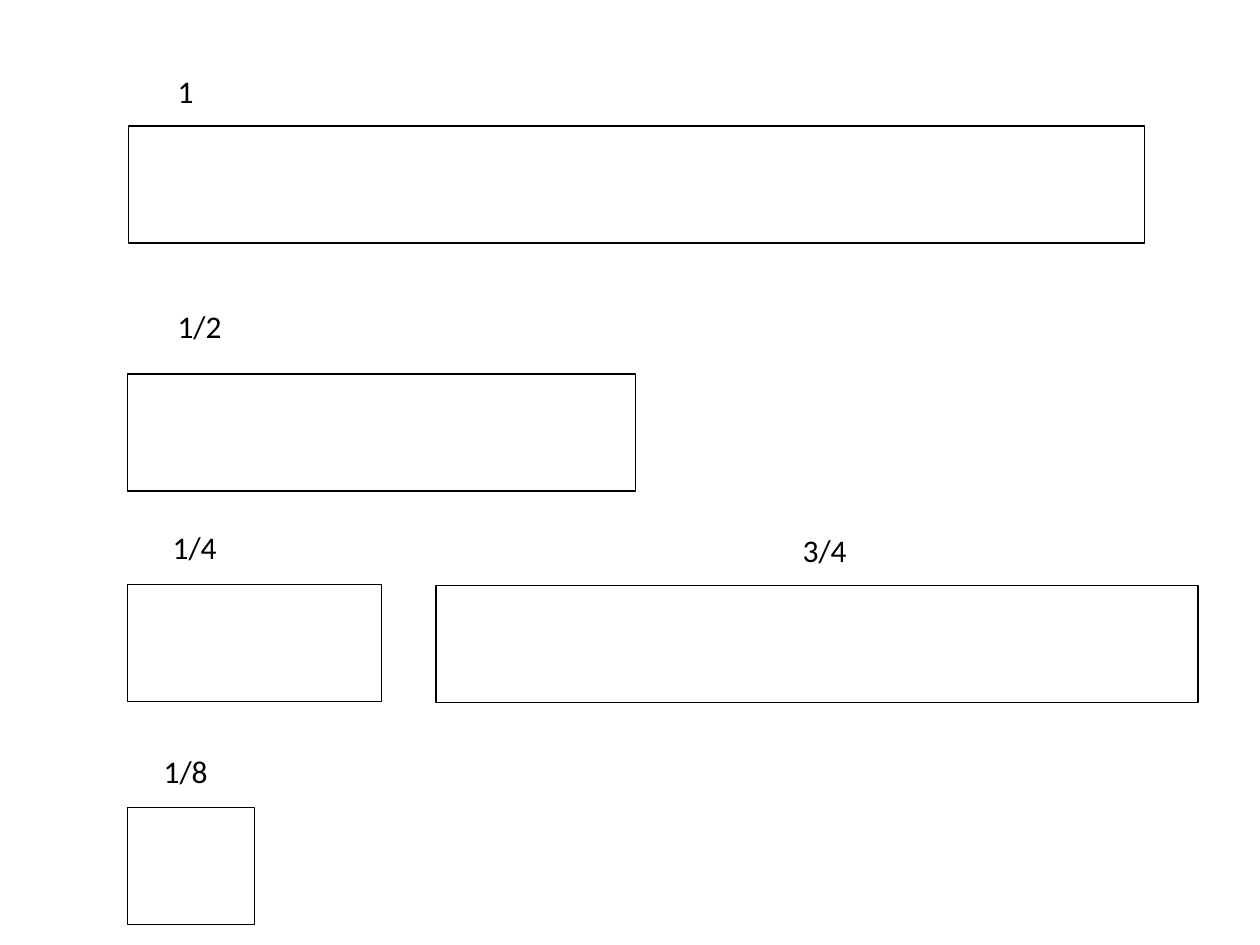
from dataclasses import dataclass

from pptx import Presentation
from pptx.dml.color import RGBColor
from pptx.enum.shapes import MSO_SHAPE
from pptx.enum.text import MSO_AUTO_SIZE
from pptx.util import Cm, Pt


@dataclass(frozen=True)
class Theme:
    """Colours, font and sizes of the slide."""

    ink: RGBColor = RGBColor(0, 0, 0)
    font: str = "Calibri"
    label_size: int = 18
    outline: float = 0.75


def write_text(para, text, *, font, size, color):
    """Add a formatted span of text to a paragraph."""
    span = para.add_run()
    span.text = text
    span.font.name = font
    span.font.size = Pt(size)
    span.font.color.rgb = color


class FractionPage:
    """Draws fraction bars and their labels on one slide."""

    whole_width = 20.48
    bar_height = 2.36
    label_height = 1.02

    def __init__(self, page, theme):
        """Keep the current slide and its style."""
        self.page = page
        self.theme = theme

    def bar(self, left, top, fraction):
        """Add an outlined bar as wide as its share of the whole."""
        box = self.page.shapes.add_shape(
            MSO_SHAPE.RECTANGLE, Cm(left), Cm(top),
            Cm(self.whole_width * fraction), Cm(self.bar_height))
        box.shadow.inherit = False
        box.fill.background()
        box.line.color.rgb = self.theme.ink
        box.line.width = Pt(self.theme.outline)

    def label(self, left, top, text):
        """Add a label that grows with its text."""
        width = 0.84 if len(text) == 1 else 1.42
        box = self.page.shapes.add_textbox(
            Cm(left), Cm(top), Cm(width), Cm(self.label_height))
        frame = box.text_frame
        frame.word_wrap = False
        frame.auto_size = MSO_AUTO_SIZE.SHAPE_TO_FIT_TEXT
        write_text(frame.paragraphs[0], text, font=self.theme.font,
                   size=self.theme.label_size, color=self.theme.ink)


def main():
    """Build the fraction bars slide and save it."""
    deck = Presentation()
    deck.slide_width, deck.slide_height = Cm(25.4), Cm(19.05)
    page = deck.slides.add_slide(deck.slide_layouts[6])
    fractions = FractionPage(page, Theme())
    rows = [
        ("1", 1, (2.59, 2.54), (3.33, 1.32)),
        ("1/2", 1 / 2, (2.57, 7.54), (3.33, 6.07)),
        ("1/4", 1 / 4, (2.57, 11.79), (3.23, 10.52)),
        ("1/8", 1 / 8, (2.57, 16.28), (3.05, 15.04)),
        ("3/4", 3 / 4, (8.79, 11.81), (15.93, 10.59)),
    ]
    for text, fraction, bar_corner, label_corner in rows:
        fractions.bar(*bar_corner, fraction)
        fractions.label(*label_corner, text)
    deck.save("out.pptx")


if __name__ == "__main__":
    main()
